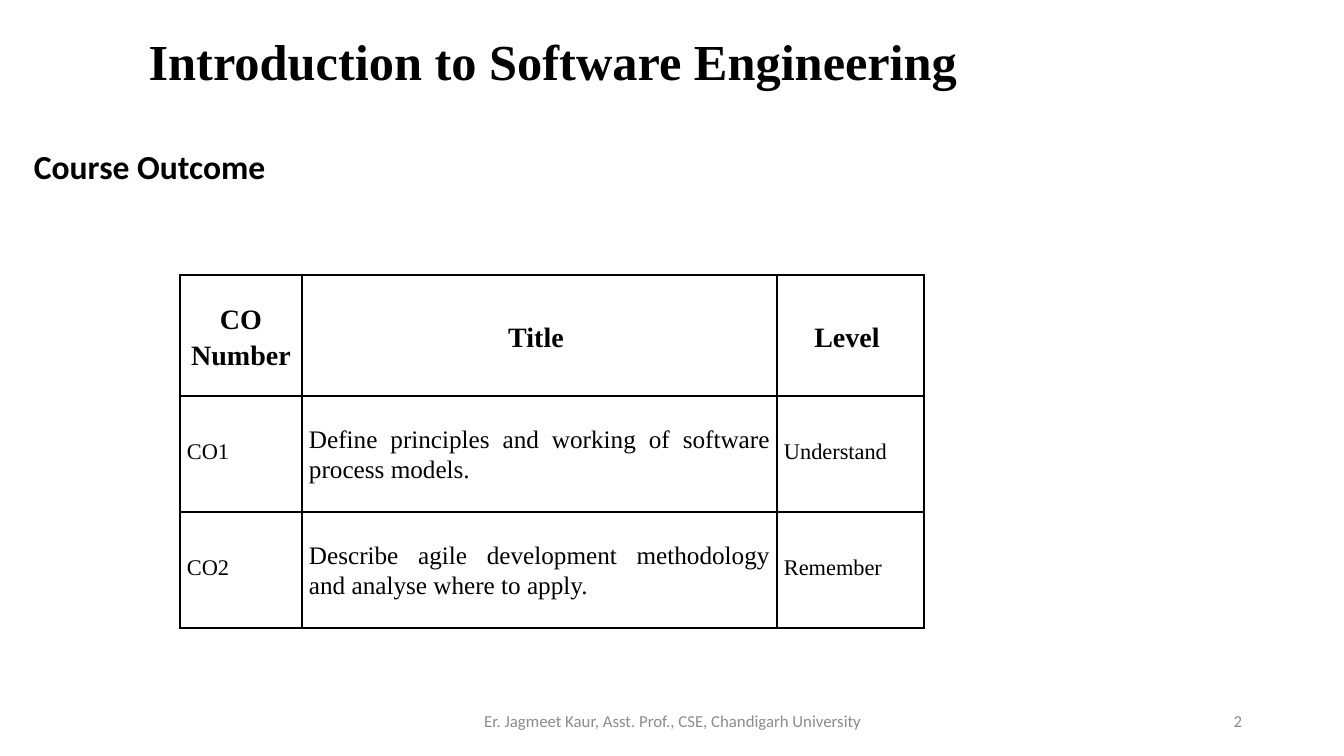
from lxml.etree import SubElement
from pptx import Presentation
from pptx.dml.color import RGBColor
from pptx.enum.text import MSO_ANCHOR as Anchor, PP_ALIGN as Align
from pptx.oxml.ns import qn
from pptx.util import Emu, Pt

BLACK = RGBColor(0x00, 0x00, 0x00)
GREY = RGBColor(0x8C, 0x8C, 0x8C)
SERIF, SANS = "Times New Roman", "Calibri"
EMU_PER_PX = 12192000 / 1344

HEADING = {"size": Pt(36), "name": SERIF, "bold": True}
SECTION = {"size": Pt(24), "name": SANS, "bold": True}
FOOTER = {"size": Pt(12), "name": SANS}
HEADER_CELL = {"size": Pt(20), "name": SERIF, "bold": True}
LABEL_CELL = {"size": Pt(16), "name": SERIF, "bold": False}
OUTCOME_CELL = {"size": Pt(18), "name": SERIF, "bold": False}

HEADER_LAYOUT = {"alignment": Align.CENTER, "line_spacing": 1.15}
LABEL_LAYOUT = {"alignment": Align.LEFT, "line_spacing": Pt(14.6)}
OUTCOME_LAYOUT = {"alignment": Align.JUSTIFY, "line_spacing": 1.07, "space_after": Pt(8)}

HEADER_FORMATS = [(HEADER_CELL, HEADER_LAYOUT)] * 3
BODY_FORMATS = [
    (LABEL_CELL, LABEL_LAYOUT),
    (OUTCOME_CELL, OUTCOME_LAYOUT),
    (LABEL_CELL, LABEL_LAYOUT),
]
COURSE_OUTCOMES = [
    ("CO Number", "Title ", "Level "),
    ("CO1", "Define principles and working of software process models.", "Understand"),
    ("CO2", "Describe agile development methodology and analyse where to apply.", "Remember"),
]


def px(length):
    return Emu(round(length * EMU_PER_PX))


def apply(target, values):
    for attribute, value in values.items():
        setattr(target, attribute, value)


class SlideBuilder:
    """Places styled text and tables on one slide."""

    def __init__(self, slide, border_width):
        self.slide = slide
        self.border_width = border_width

    def fill_text(self, frame, text, font, layout, color):
        paragraph = frame.paragraphs[0]
        apply(paragraph, layout)
        run = paragraph.add_run()
        run.text = text
        apply(run.font, font)
        run.font.color.rgb = color

    def text(self, text, box, font, align=Align.LEFT, anchor=Anchor.TOP, wrap=True, color=BLACK):
        frame = self.slide.shapes.add_textbox(*map(px, box)).text_frame
        apply(frame, {"word_wrap": wrap, "vertical_anchor": anchor})
        self.fill_text(frame, text, font, {"alignment": align}, color)

    def border(self, cell):
        properties = cell._tc.get_or_add_tcPr()
        for side in ("L", "R", "T", "B"):
            line = SubElement(properties, qn(f"a:ln{side}"), w=str(int(self.border_width)))
            fill = SubElement(line, qn("a:solidFill"))
            SubElement(fill, qn("a:srgbClr"), val=str(BLACK))

    def table(self, rows, left, top, widths, heights):
        box = (left, top, sum(widths), sum(heights))
        table = self.slide.shapes.add_table(len(heights), len(widths), *map(px, box)).table
        apply(table, {"first_row": False, "horz_banding": False})
        for column, width in zip(table.columns, widths):
            column.width = px(width)
        for index, (row, height) in enumerate(zip(table.rows, heights)):
            row.height = px(height)
            formats = BODY_FORMATS if index else HEADER_FORMATS
            for cell, text, (font, layout) in zip(row.cells, rows[index], formats):
                apply(cell, {
                    "margin_left": px(7), "margin_right": px(7),
                    "margin_top": 0, "margin_bottom": 0,
                    "vertical_anchor": Anchor.MIDDLE,
                })
                self.border(cell)
                cell.fill.background()
                self.fill_text(cell.text_frame, text, font, layout, BLACK)


def main():
    deck = Presentation()
    apply(deck, {"slide_width": px(1344), "slide_height": px(756)})
    builder = SlideBuilder(deck.slides.add_slide(deck.slide_layouts[6]), Pt(1))
    builder.text("Introduction to Software Engineering", (106, 25, 894, 87), HEADING, Align.CENTER)
    builder.table(COURSE_OUTCOMES, 180, 275, (122, 475, 147), (121, 116, 116))
    builder.text("Course Outcome", (24, 141, 262, 50), SECTION, wrap=False)
    builder.text("2", (950, 701, 302, 40), FOOTER, Align.RIGHT, Anchor.MIDDLE, color=GREY)
    builder.text("Er. Jagmeet Kaur, Asst. Prof., CSE, Chandigarh University",
                 (446, 701, 454, 40), FOOTER, Align.CENTER, Anchor.MIDDLE, color=GREY)
    deck.save("out.pptx")


if __name__ == "__main__":
    main()
